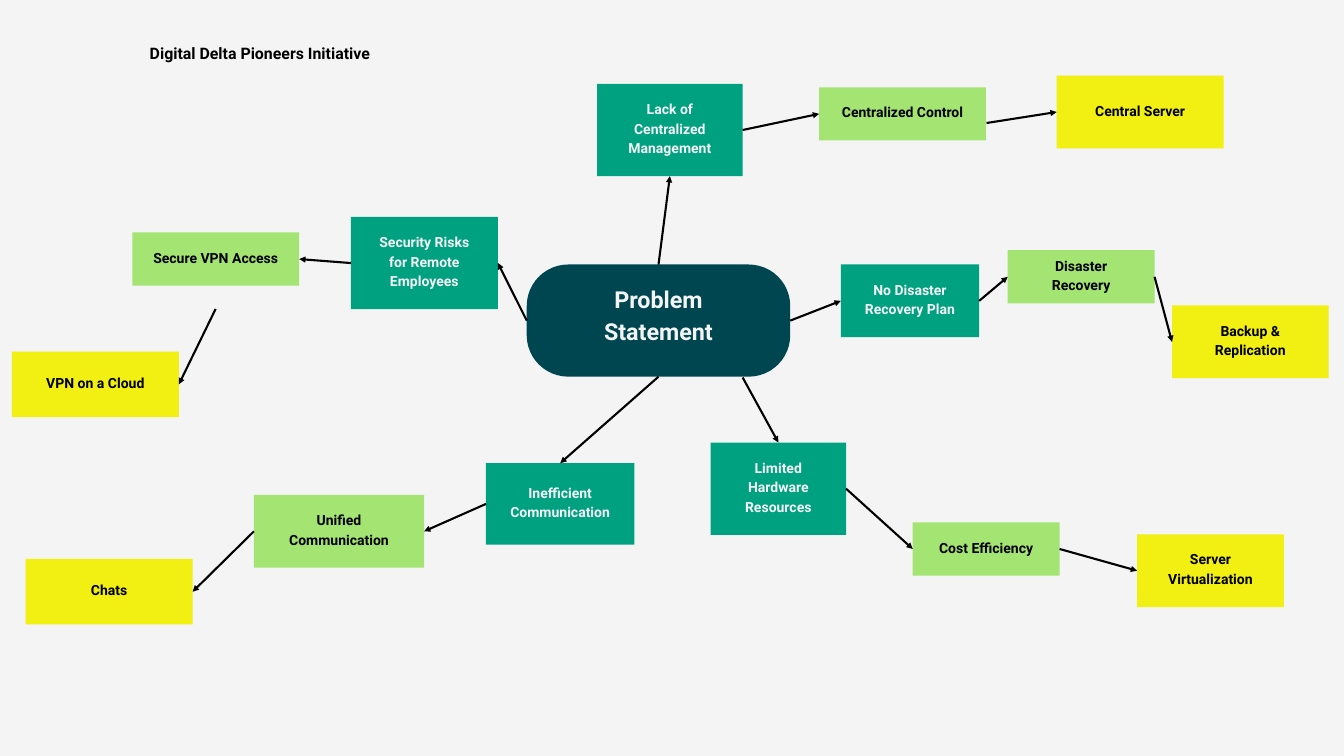
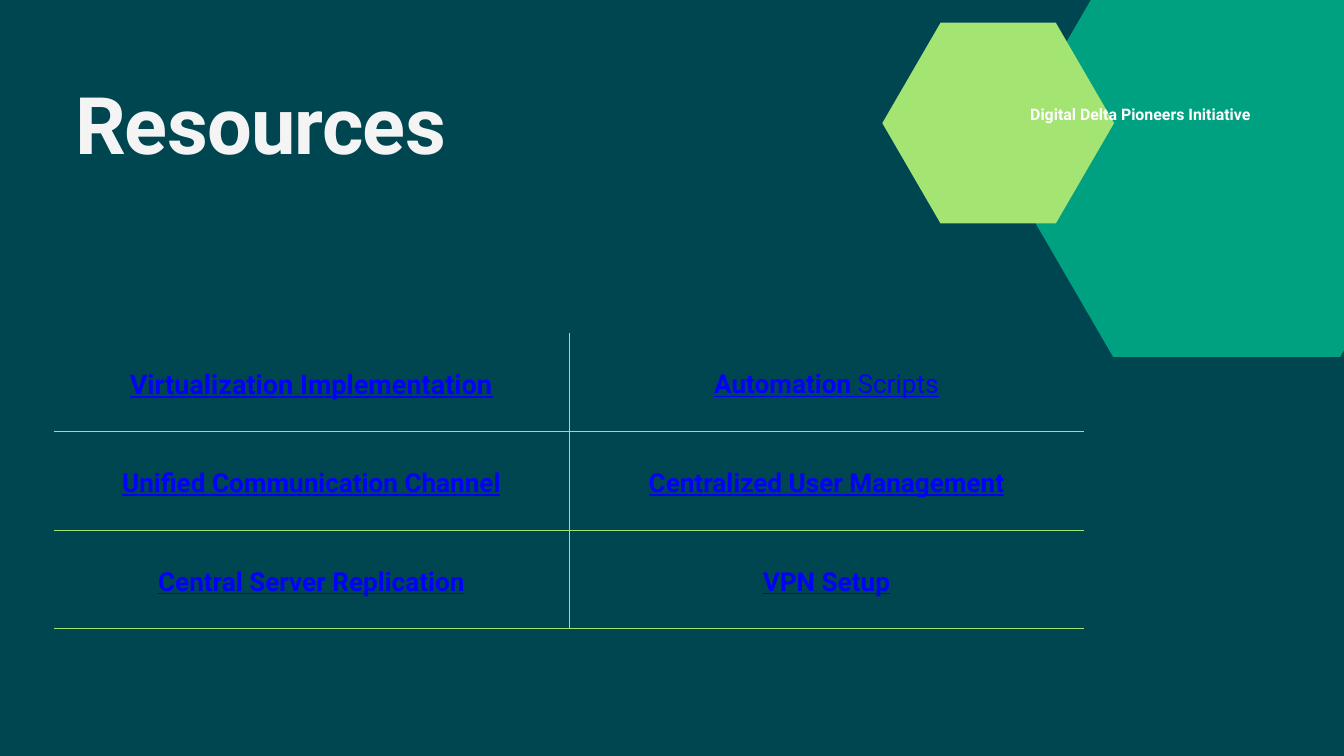
"""Build a problem statement map and a resources slide."""
from lxml.etree import SubElement
from pptx import Presentation
from pptx.dml.color import RGBColor
from pptx.enum.shapes import MSO_CONNECTOR, MSO_SHAPE
from pptx.enum.text import MSO_ANCHOR, MSO_AUTO_SIZE, PP_ALIGN
from pptx.oxml.ns import qn
from pptx.util import Cm, Pt

FONT = "Roboto"
PETROL, TEAL, LIME, YELLOW = "004651", "00A181", "A4E473", "F2EF12"
PALE, BLACK, WHITE, LINK_BLUE = "F4F4F4", "000000", "FFFFFF", "0000FF"
TOP, LEFT, BOTTOM, RIGHT = range(4)
PROGRAMME = "Digital Delta Pioneers Initiative"


def add_filled_shape(slide, kind, bounds, fill):
    shape = slide.shapes.add_shape(kind, *map(Cm, bounds))
    shape.shadow.inherit = False
    shape.fill.solid()
    shape.fill.fore_color.rgb = RGBColor.from_string(fill)
    shape.line.fill.background()
    return shape


def write_text(holder, frame, text, size, color, spacing, margins, centred=True):
    holder.margin_left, holder.margin_top, holder.margin_right, holder.margin_bottom = map(Cm, margins)
    holder.vertical_anchor = MSO_ANCHOR.MIDDLE if centred else MSO_ANCHOR.TOP
    paragraph = frame.paragraphs[0]
    paragraph.text = text
    paragraph.alignment = PP_ALIGN.CENTER if centred else PP_ALIGN.LEFT
    paragraph.line_spacing = Pt(spacing)
    paragraph.font.name = FONT
    paragraph.font.size = Pt(size)
    paragraph.font.bold = True
    paragraph.font.color.rgb = RGBColor.from_string(color)
    return paragraph


presentation = Presentation()
presentation.slide_width, presentation.slide_height = Cm(50.8), Cm(28.58)
title_only, blank = presentation.slide_layouts[5], presentation.slide_layouts[6]
problem_slide = presentation.slides.add_slide(blank)
resources_slide = presentation.slides.add_slide(title_only)
for slide, background in ((problem_slide, PALE), (resources_slide, PETROL)):
    slide.background.fill.solid()
    slide.background.fill.fore_color.rgb = RGBColor.from_string(background)

hub = add_filled_shape(problem_slide, MSO_SHAPE.ROUNDED_RECTANGLE, (19.91, 10, 9.96, 4.24), PETROL)
hub.adjustments[0] = 0.37
write_text(hub.text_frame, hub.text_frame, "Problem Statement", 25, PALE, 35, (0.71, 0, 0.71, 0.58))

levels = ((TEAL, PALE), (LIME, BLACK), (YELLOW, BLACK))
branches = [
    (TOP, RIGHT, [
        ("Lack of Centralized Management", (22.57, 3.17, 5.5, 3.49)),
        ("Centralized Control", (30.96, 3.3, 6.31, 2.01)),
        ("Central Server", (39.94, 2.86, 6.31, 2.75))]),
    (LEFT, LEFT, [
        ("Security Risks for Remote Employees", (13.26, 8.2, 5.56, 3.49)),
        ("Secure VPN Access", (5, 8.79, 6.31, 2.01)),
        ("VPN on a Cloud", (0.45, 13.29, 6.31, 2.48))]),
    (RIGHT, RIGHT, [
        ("No Disaster Recovery Plan", (31.78, 10, 5.23, 2.75)),
        ("Disaster Recovery", (38.09, 9.46, 5.55, 2.01)),
        ("Backup & Replication", (44.3, 11.55, 5.92, 2.75))]),
    (BOTTOM, LEFT, [
        ("Inefficient Communication", (18.37, 17.51, 5.61, 3.08)),
        ("Unified Communication", (9.6, 18.71, 6.43, 2.75)),
        ("Chats", (0.97, 21.13, 6.31, 2.48))]),
    (BOTTOM, RIGHT, [
        ("Limited Hardware Resources", (26.86, 16.73, 5.12, 3.49)),
        ("Cost Efficiency", (34.5, 19.75, 5.55, 2.01)),
        ("Server Virtualization", (42.98, 20.2, 5.55, 2.75))]),
]
free_starts = {
    "Limited Hardware Resources": (28.07, 14.27),
    "Central Server": (37.29, 4.65),
    "VPN on a Cloud": (8.15, 11.68),
}
opposite = {TOP: BOTTOM, LEFT: RIGHT, BOTTOM: TOP, RIGHT: LEFT}
for hub_side, outward, boxes in branches:
    source, exit_side = hub, hub_side
    for (text, bounds), (fill, color) in zip(boxes, levels):
        box = add_filled_shape(problem_slide, MSO_SHAPE.RECTANGLE, bounds, fill)
        write_text(box.text_frame, box.text_frame, text, 15, color, 21, (0.71, 0, 0.71, 0.22))
        start = free_starts.get(text, (0, 0))
        arrow = problem_slide.shapes.add_connector(MSO_CONNECTOR.STRAIGHT, *map(Cm, start + start))
        if text not in free_starts:
            arrow.begin_connect(source, exit_side)
        arrow.end_connect(box, opposite[exit_side])
        arrow.line.color.rgb = RGBColor.from_string(BLACK)
        arrow.line.width = Pt(2.25)
        SubElement(arrow.line._get_or_add_ln(), qn("a:tailEnd"), type="triangle")
        SubElement(arrow._element.spPr, qn("a:effectLst"))
        source, exit_side = box, outward

for bounds, fill in (((37.74, -1.45, 17.25, 14.94), TEAL), ((33.35, 0.86, 8.76, 7.59), LIME)):
    hexagon = add_filled_shape(resources_slide, MSO_SHAPE.HEXAGON, bounds, fill)
    hexagon.adjustments[0] = 0.29

title = resources_slide.shapes.title
title.left, title.top, title.width, title.height = map(Cm, (2.84, 2.84, 19.2, 3.58))
title.text_frame.auto_size = MSO_AUTO_SIZE.NONE
heading = write_text(title.text_frame, title.text_frame, "Resources", 85, PALE, 102, (0, 0, 0, 0), False)
heading.font._rPr.set("spc", "-80")

resources = [
    ("Virtualization Implementation", "Automation"),
    ("Unified Communication Channel", "Centralized User Management"),
    ("Central Server Replication", "VPN Setup"),
]
table = resources_slide.shapes.add_table(3, 2, Cm(2.03), Cm(12.57), Cm(38.94), Cm(11.19)).table
table.first_row = table.horz_banding = False
for row, names in enumerate(resources):
    for column, name in enumerate(names):
        cell = table.cell(row, column)
        size = 29 if row == column == 0 else 28
        paragraph = write_text(cell, cell.text_frame, name, size, LINK_BLUE, size * 1.4, (0.53,) * 4)
        paragraph.font.underline = True
        ruled = {"L": column > 0, "R": column == 0, "T": row > 0, "B": True}
        for side, visible in ruled.items():
            border = SubElement(cell._tc.get_or_add_tcPr(), qn(f"a:ln{side}"), w=str(Pt(0.75)))
            if visible:
                SubElement(SubElement(border, qn("a:solidFill")), qn("a:srgbClr"), val=LIME)
            else:
                SubElement(border, qn("a:noFill"))
        cell.fill.solid()
        cell.fill.fore_color.rgb = RGBColor.from_string(PETROL)
scripts = table.cell(0, 1).text_frame.paragraphs[0].add_run()
scripts.text = " Scripts"
scripts.font.bold = False

for slide, left, top, color in ((problem_slide, 5.66, 1.52, BLACK), (resources_slide, 38.94, 3.84, WHITE)):
    label = slide.shapes.add_textbox(Cm(left), Cm(top), Cm(9.02), Cm(0.79))
    label.text_frame.word_wrap = True
    write_text(label.text_frame, label.text_frame, PROGRAMME, 17, color, 23.8, (0, 0, 0, 0), False)

presentation.save("out.pptx")
